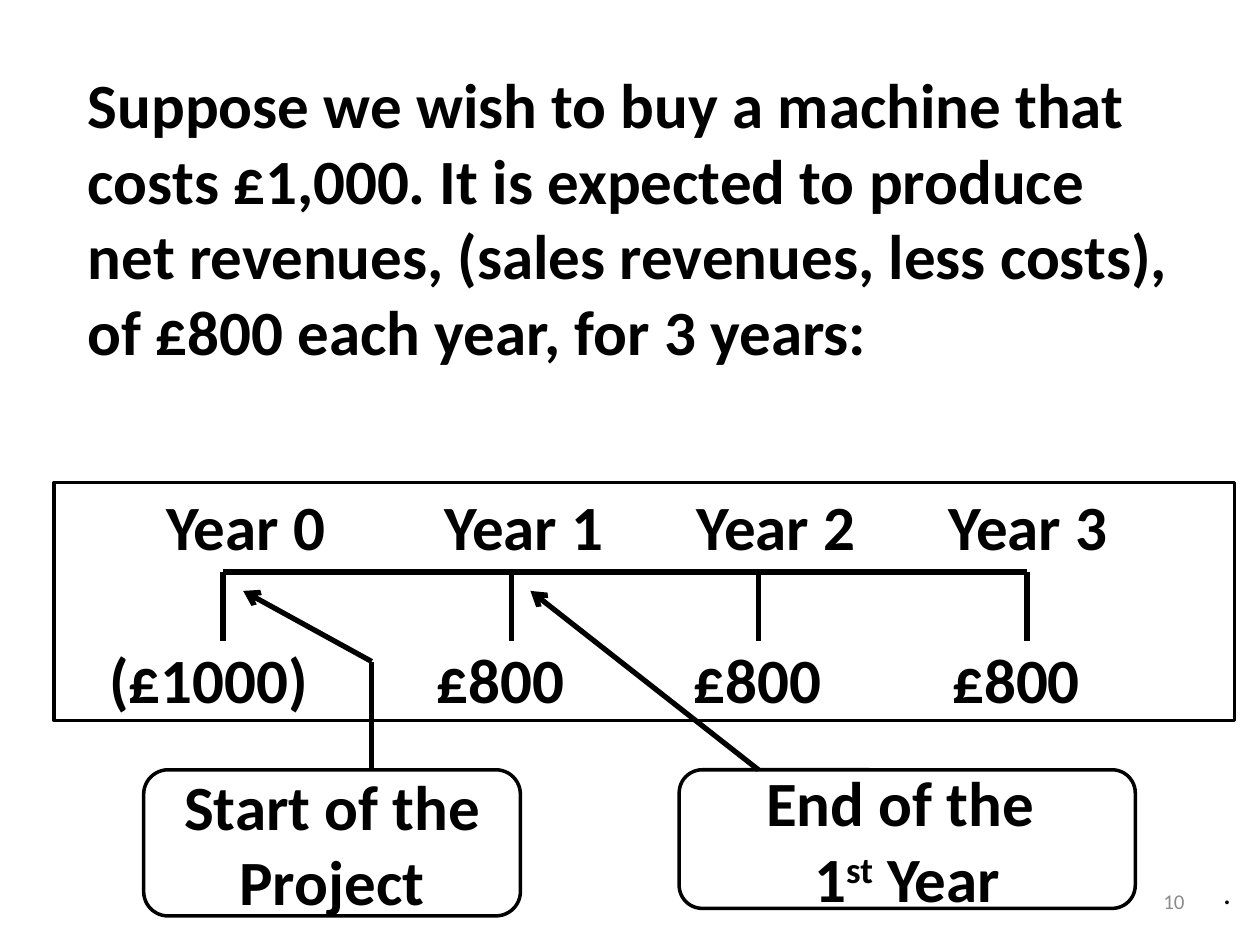
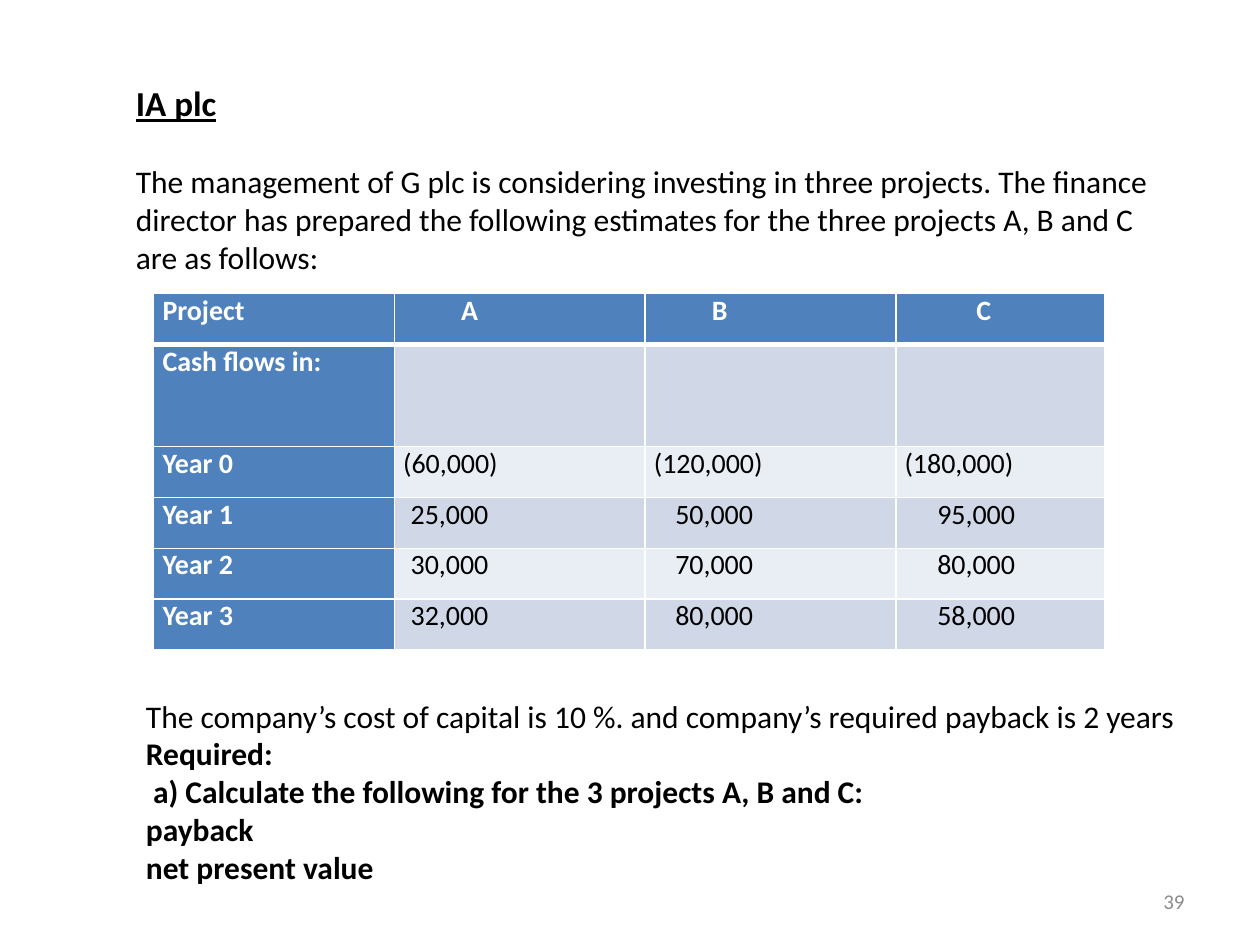
from lxml.etree import SubElement
from pptx import Presentation
from pptx.dml.color import RGBColor
from pptx.enum.shapes import MSO_CONNECTOR, MSO_SHAPE
from pptx.enum.text import MSO_ANCHOR, MSO_AUTO_SIZE, PP_ALIGN
from pptx.oxml.ns import qn
from pptx.util import Inches, Pt

COLUMNS, ROWS = 100, 75  # grid of the 10 by 7.5 inch slide
BLACK, WHITE, GREY = "000000", "FFFFFF", "8C8C8C"
BLUE, BAND_DARK, BAND_LIGHT = "4F81BD", "D0D8E8", "E9EDF4"


def color(hex_string):
    return RGBColor.from_string(hex_string)


class Deck:
    """Holds the style and the current slide; places elements on the grid."""

    font_name = "Calibri"
    large, body, small = 36, 18, 12

    def __init__(self):
        self.presentation = Presentation()
        self.presentation.slide_width = Inches(10)
        self.presentation.slide_height = Inches(7.5)
        self.slide = None

    def x(self, columns):
        return round(self.presentation.slide_width * columns / COLUMNS)

    def y(self, rows):
        return round(self.presentation.slide_height * rows / ROWS)

    def box(self, left, top, width, height):
        return self.x(left), self.y(top), self.x(width), self.y(height)

    def add_slide(self, number):
        self.slide = self.presentation.slides.add_slide(self.presentation.slide_layouts[6])
        frame = self.text([number], 71.7, 69.5, 23.3, 4, size=self.small, text_color=GREY)
        frame.vertical_anchor = MSO_ANCHOR.MIDDLE
        frame.paragraphs[0].alignment = PP_ALIGN.RIGHT

    def style_runs(self, paragraph, size, text_color=BLACK, bold=False):
        for run in paragraph.runs:
            run.font.name = self.font_name
            run.font.size = Pt(size)
            run.font.bold = bold
            run.font.color.rgb = color(text_color)

    def fill_frame(self, frame, lines, size, text_color=BLACK, bold=False,
                   align=PP_ALIGN.LEFT):
        frame.text = "\n".join(lines)
        for paragraph in frame.paragraphs:
            paragraph.alignment = align
            self.style_runs(paragraph, size, text_color, bold)

    def text(self, lines, left, top, width, height, size=body, text_color=BLACK,
             bold=False, wrap=True):
        shape = self.slide.shapes.add_textbox(*self.box(left, top, width, height))
        frame = shape.text_frame
        self.fill_frame(frame, lines, size, text_color, bold)
        frame.word_wrap = wrap
        frame.auto_size = MSO_AUTO_SIZE.NONE
        return frame

    def outline(self, kind, lines, left, top, width, height, align=PP_ALIGN.CENTER):
        shape = self.slide.shapes.add_shape(kind, *self.box(left, top, width, height))
        shape.shadow.inherit = False
        shape.fill.background()
        shape.line.color.rgb = color(BLACK)
        shape.line.width = Pt(2)
        frame = shape.text_frame
        frame.word_wrap = True
        frame.vertical_anchor = MSO_ANCHOR.MIDDLE
        self.fill_frame(frame, lines, self.large, bold=True, align=align)
        return frame

    def line(self, start, end, arrow=False):
        connector = self.slide.shapes.add_connector(
            MSO_CONNECTOR.STRAIGHT, self.x(start[0]), self.y(start[1]),
            self.x(end[0]), self.y(end[1]))
        connector.line.color.rgb = color(BLACK)
        connector.line.width = Pt(3)
        properties = connector._element.spPr
        if arrow:
            SubElement(properties.find(qn("a:ln")), qn("a:tailEnd"), type="arrow")
        SubElement(properties, qn("a:effectLst"))

    def tab_stops(self, paragraph, stops):
        tabs = SubElement(paragraph._p.get_or_add_pPr(), qn("a:tabLst"))
        for stop in stops:
            SubElement(tabs, qn("a:tab"), pos=str(self.x(stop)), algn="l")

    def borders(self, cell, bottom_width):
        properties = cell._tc.get_or_add_tcPr()
        for side, width in (("L", 1), ("R", 1), ("T", 1), ("B", bottom_width)):
            border = SubElement(properties, qn(f"a:ln{side}"), w=str(int(Pt(width))))
            fill = SubElement(border, qn("a:solidFill"))
            SubElement(fill, qn("a:srgbClr"), val=WHITE)

    def table(self, data, left, top, widths, heights, indents):
        """The function indents gives the extra left margin of a row and column."""
        frame = self.slide.shapes.add_table(
            len(heights), len(widths), *self.box(left, top, sum(widths), sum(heights)))
        table = frame.table
        table.horz_banding = False
        for column, width in zip(table.columns, widths):
            column.width = self.x(width)
        for row, height in zip(table.rows, heights):
            row.height = self.y(height)
        for i, texts in enumerate(data):
            for j, text in enumerate(texts):
                cell = table.cell(i, j)
                heading = i == 0 or j == 0
                self.borders(cell, 3 if i == 0 else 1)
                cell.fill.solid()
                band = BAND_DARK if i % 2 else BAND_LIGHT
                cell.fill.fore_color.rgb = color(BLUE if heading else band)
                cell.margin_left = self.x(0.7 + indents(i, j))
                cell.margin_right = self.x(0.7)
                cell.margin_top = cell.margin_bottom = 0
                self.fill_frame(cell.text_frame, [text], 16,
                                WHITE if heading else BLACK, heading)


deck = Deck()

# Slide 1: cash flow timeline
deck.add_slide("10")
deck.text(["Suppose we wish to buy a machine that",
           "costs £1,000. It is expected to produce ",
           "net revenues, (sales revenues, less costs),",
           "of £800 each year, for 3 years:"],
          6, 4.7, 88.7, 25.2, size=deck.large, bold=True, wrap=False)

# Years and amounts, lined up by tab stops
frame = deck.outline(
    MSO_SHAPE.RECTANGLE,
    ["\tYear 0\tYear 1\tYear 2\tYear 3", "\t(£1000)\t£800\t£800\t£800"],
    4.3, 38.3, 93.7, 18.9, align=PP_ALIGN.LEFT)
years, amounts = frame.paragraphs
amounts.space_before = Pt(44)
deck.tab_stops(years, (7.9, 30, 50, 70))
deck.tab_stops(amounts, (3.4, 29.4, 49.8, 70.3))

# Time axis with one tick a year
ticks = (17.7, 40.6, 60.2, 81.5)
axis_top, tick_bottom = 45.4, 50.9
deck.line((ticks[0], axis_top), (ticks[-1], axis_top))
for tick in ticks:
    deck.line((tick, axis_top), (tick, tick_bottom))

# Callouts and their arrows
callout_top, arrow_top = 61.1, 46.9
bend = (29.5, 52.5)
deck.outline(MSO_SHAPE.ROUNDED_RECTANGLE, ["Start of the Project"],
             11.4, callout_top, 29.9, 11.6)
frame = deck.outline(MSO_SHAPE.ROUNDED_RECTANGLE, ["End of the ", "1"],
                     53.9, callout_top, 36.2, 11)
ordinal = frame.paragraphs[1]
suffix = ordinal.add_run()
suffix.text = "st"
ordinal.add_run().text = " Year"
deck.style_runs(ordinal, deck.large, bold=True)
suffix._r.get_or_add_rPr().set("baseline", "30000")
deck.line(bend, (19.3, arrow_top), arrow=True)
deck.line(bend, (bend[0], callout_top))
deck.line((ticks[2], callout_top), (42.1, arrow_top), arrow=True)
deck.text(["."], 96.1, 68.8, 2.7, 4, wrap=False)

# Slide 2: project comparison
deck.add_slide("39")
frame = deck.text(
    ["IA plc",
     "The management of G plc is considering investing in three projects. The finance "
     "director has prepared the following estimates for the three projects A, B and C "
     "are as follows:"],
    9.8, 6, 83.5, 19.5)
title, introduction = frame.paragraphs
deck.style_runs(title, 20, bold=True)
title.runs[0].font.underline = True
introduction.space_before = Pt(22)

# Cash flows by project
HEADER_INDENTS = (0, 4.6, 4.6, 5.7)
VALUE_INDENTS = (0, 0.6, 1.7, 2.6)
OUTLAY_ROW = 2


def cash_flow_indent(row, column):
    if row == OUTLAY_ROW:
        return 0
    return (VALUE_INDENTS if row else HEADER_INDENTS)[column]


deck.table(
    [("Project ", "A", "B", "C"),
     ("Cash flows in:", "", "", ""),
     ("Year 0", "(60,000)", "(120,000)", "(180,000)"),
     ("Year 1", "25,000", "50,000", "95,000"),
     ("Year 2", "30,000", "70,000", "80,000"),
     ("Year 3", "32,000", "80,000", "58,000")],
    12.2, 23.3, widths=(19.1, 19.9, 19.9, 16.6),
    heights=[8.1 if row == 1 else 4.04 for row in range(6)], indents=cash_flow_indent)

# Question
frame = deck.text(
    ["The company’s cost of capital is 10 %. and company’s required payback is 2 years",
     "Required:",
     "\u00a0a) Calculate the following for the 3 projects A, B and C:",
     "payback",
     "net present value"],
    10.6, 54.8, 87.9, 16.3)
for paragraph in frame.paragraphs[1:]:
    deck.style_runs(paragraph, deck.body, bold=True)

deck.presentation.save("out.pptx")
